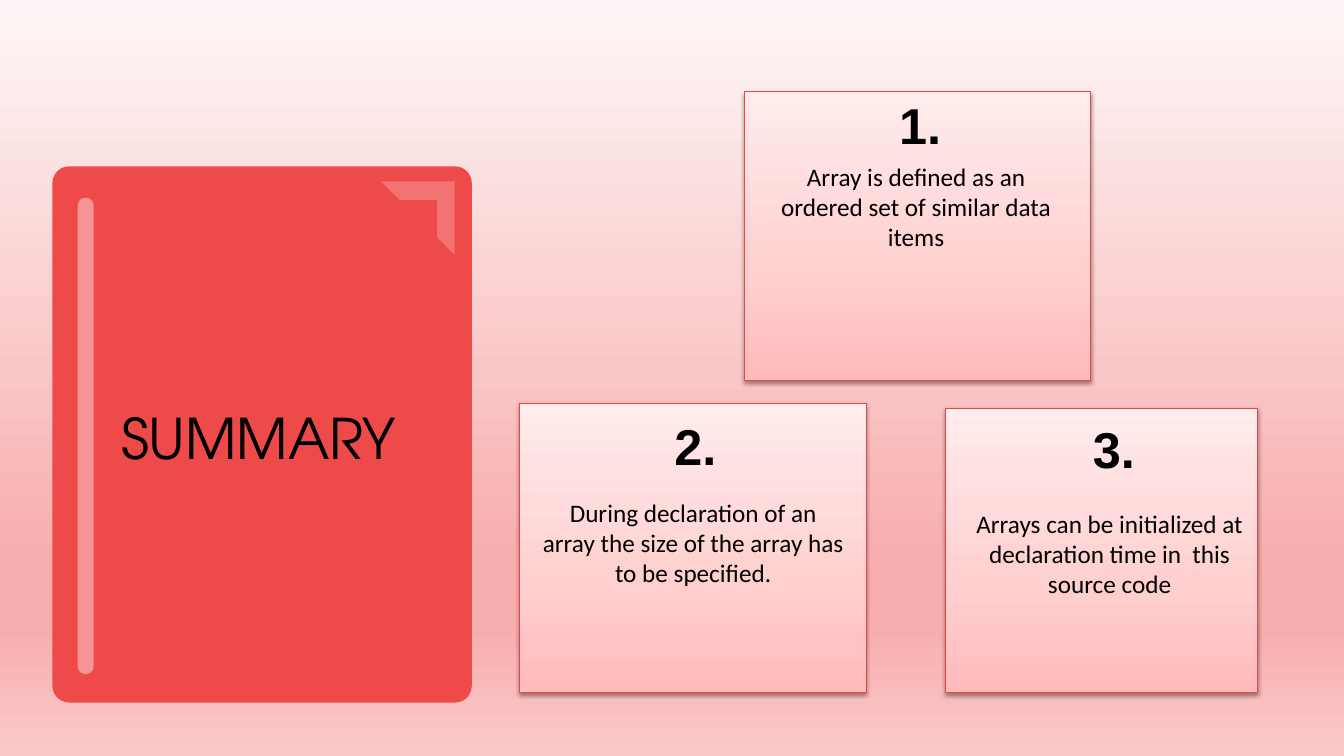
from lxml.etree import SubElement
from pptx import Presentation
from pptx.dml.color import RGBColor
from pptx.enum.shapes import MSO_SHAPE
from pptx.enum.text import MSO_AUTO_SIZE, PP_ALIGN
from pptx.oxml.ns import qn
from pptx.util import Inches, Pt

COLORS = {
    "book": "EF4A4A",
    "white": "FFFFFF",
    "border": "EE4444",
    "text": "000000",
    "shadow": "000000",
}
BACKGROUND_STOPS = [(0, "FEF6F6"), (74, "F8AEAE"), (83, "F8AEAE"), (100, "FAC9C9")]
CARD_STOPS = [(0, "FFBABA"), (35, "FFCECE"), (100, "FFECEC")]

# Card box, then number and text offsets within it
CARDS = [
    ("1.", "Array is defined as an ordered set of similar data items",
     (7.38, 0.91, 3.44, 2.87), (1.44, -0.03), (0.11, 0.64)),
    ("2.", "During declaration of an array the size of the array has to be specified.",
     (5.15, 4.0, 3.44, 2.87), (1.44, 0.07), (0.13, 0.88)),
    ("3.", "Arrays can be initialized at declaration time in  this source code",
     (9.38, 4.05, 3.09, 2.82), (1.36, 0.05), (0.03, 0.94)),
]


def rgb(name):
    return RGBColor.from_string(COLORS[name])


def set_gradient(fill, element, stops, angle):
    fill.gradient()
    fill.gradient_angle = angle
    gs_list = next(element.iter(qn("a:gsLst")))
    for gs in list(gs_list):
        gs_list.remove(gs)
    for position, color in stops:
        gs = SubElement(gs_list, qn("a:gs"), pos=str(position * 1000))
        SubElement(gs, qn("a:srgbClr"), val=color)


def add_shadow(sp):
    effects = SubElement(sp.element.spPr, qn("a:effectLst"))
    shadow = SubElement(effects, qn("a:outerShdw"), blurRad=str(Pt(3.1)),
                        dist=str(Pt(1.6)), dir="5400000", rotWithShape="0")
    color = SubElement(shadow, qn("a:srgbClr"), val=COLORS["shadow"])
    SubElement(color, qn("a:alpha"), val="38000")


def add_solid(s, kind, box, color, adjustments, opacity=100):
    sp = s.shapes.add_shape(kind, *map(Inches, box))
    sp.shadow.inherit = False
    for i, value in enumerate(adjustments):
        sp.adjustments[i] = value
    sp.fill.solid()
    sp.fill.fore_color.rgb = rgb(color)
    sp.line.fill.background()
    if opacity < 100:
        clr = next(sp.element.spPr.iter(qn("a:srgbClr")))
        SubElement(clr, qn("a:alpha"), val=str(opacity * 1000))
    return sp


def add_text(s, box, text, font, size, bold=False, align=PP_ALIGN.CENTER):
    tf = s.shapes.add_textbox(*map(Inches, box)).text_frame
    tf.word_wrap = True
    tf.auto_size = MSO_AUTO_SIZE.SHAPE_TO_FIT_TEXT
    p = tf.paragraphs[0]
    p.alignment = align
    r = p.add_run()
    r.text = text
    r.font.name = font
    r.font.size = Pt(size)
    r.font.bold = bold
    r.font.color.rgb = rgb("text")


def add_book(s, x, y, w, h):
    # Cover, spine highlight and corner
    add_solid(s, MSO_SHAPE.ROUNDED_RECTANGLE, (x, y, w, h), "book", [0.04])
    add_solid(s, MSO_SHAPE.ROUNDED_RECTANGLE, (x + 0.25, y + 0.31, 0.16, h - 0.59),
              "white", [0.5], 41)
    corner = add_solid(s, MSO_SHAPE.HALF_FRAME, (x + w - 0.9, y + 0.15, 0.73, 0.73),
                       "white", [0.24, 0.25], 23)
    corner.rotation = 90
    # Title
    add_text(s, (x + 0.45, y + 2.3, 3.19, 0.77), "SUMMARY", "TeX Gyre Adventor", 40)


def add_card(s, number, text, box, number_offset, text_offset):
    x, y, w, h = box
    sp = s.shapes.add_shape(MSO_SHAPE.RECTANGLE, *map(Inches, box))
    set_gradient(sp.fill, sp.element.spPr, CARD_STOPS, 90)
    sp.line.color.rgb = rgb("border")
    sp.line.width = Pt(0.75)
    add_shadow(sp)
    dx, dy = text_offset
    add_text(s, (x + dx, y + dy, 3.19, 1.01), text, "Calibri", 18)
    dx, dy = number_offset
    add_text(s, (x + dx, y + dy, 0.82, 0.71), number, "Arial", 36, True, PP_ALIGN.LEFT)


def main():
    prs = Presentation()
    prs.slide_width, prs.slide_height = Inches(13.33), Inches(7.5)
    s = prs.slides.add_slide(prs.slide_layouts[6])
    set_gradient(s.background.fill, s.element, BACKGROUND_STOPS, 270)
    add_book(s, 0.52, 1.65, 4.16, 5.32)
    for card in CARDS:
        add_card(s, *card)
    prs.save("out.pptx")


if __name__ == "__main__":
    main()
